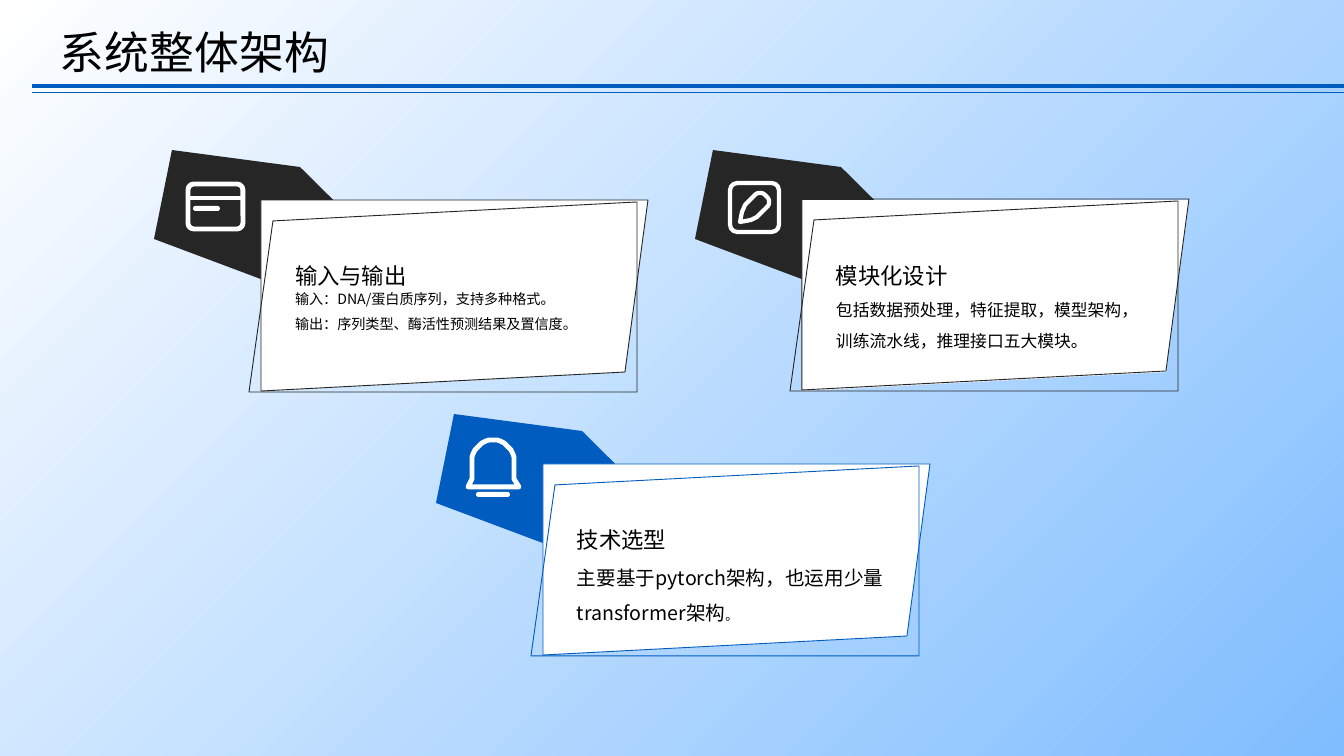
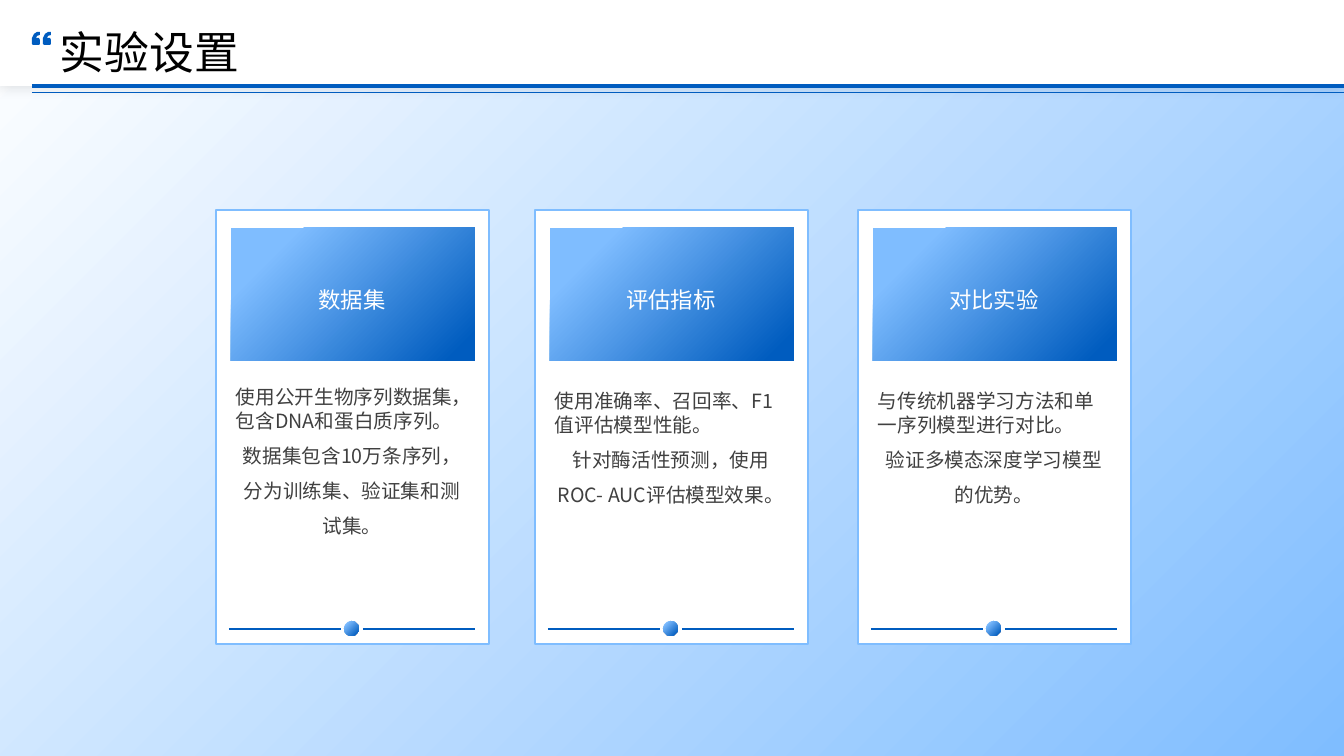
from dataclasses import dataclass
from math import cos, radians, sin

from lxml.etree import SubElement
from pptx import Presentation
from pptx.dml.color import RGBColor
from pptx.enum.shapes import MSO_CONNECTOR, MSO_SHAPE
from pptx.enum.text import MSO_ANCHOR, PP_ALIGN
from pptx.oxml import parse_xml
from pptx.oxml.ns import nsdecls, qn
from pptx.util import Pt


@dataclass(frozen=True)
class Theme:
    font: str = "Noto Sans CJK SC"
    white: str = "FFFFFF"
    black: str = "000000"
    dark: str = "262626"
    gray: str = "404040"
    blue: str = "005CBF"
    sky: str = "7FBDFF"
    backdrop: tuple = ((0, "FFFFFF"), (1, "7FBDFF"))
    accent: tuple = ((0.18, "7FBDFF"), (0.93, "005CBF"))
    title: float = 32
    heading: float = 16
    body: float = 14
    medium: float = 12
    small: float = 10.1
    tiny: float = 9
    hairline: float = 0.65


T = Theme()
EMU = 914400 / 100.8
W, H = 1344, 756
LINE = MSO_CONNECTOR.STRAIGHT
RECT = MSO_SHAPE.RECTANGLE
ROUND = MSO_SHAPE.ROUNDED_RECTANGLE
OVAL = MSO_SHAPE.OVAL
LEFT, CENTER = PP_ALIGN.LEFT, PP_ALIGN.CENTER


def draw(s, kind, geo, fill=None, line=None, width=1, radius=None):
    if kind is LINE:
        sp = s.shapes.add_connector(kind, *[round(v * EMU) for v in geo])
        SubElement(sp._element.spPr, qn("a:effectLst"))
    else:
        if kind is None:
            fb = s.shapes.build_freeform(*geo[0], scale=EMU)
            fb.add_line_segments(geo[1:], close=True)
            sp = fb.convert_to_shape()
        else:
            sp = s.shapes.add_shape(kind, *[round(v * EMU) for v in geo])
        sp.shadow.inherit = False
        if radius is not None:
            sp.adjustments[0] = radius
        if fill is None:
            sp.fill.background()
        elif isinstance(fill, str):
            sp.fill.solid()
            sp.fill.fore_color.rgb = RGBColor.from_string(fill)
        else:
            sp.fill.gradient()
            sp.fill.gradient_angle = 315
            for stop, (pos, color) in zip(sp.fill.gradient_stops, fill):
                stop.position = pos
                stop.color.rgb = RGBColor.from_string(color)
    if line:
        sp.line.color.rgb = RGBColor.from_string(line)
        sp.line.width = Pt(width)
    else:
        sp.line.fill.background()
    return sp


def write(s, box, paras, color, anchor=MSO_ANCHOR.TOP, inset=(0, 0)):
    tf = s.shapes.add_textbox(*[round(v * EMU) for v in box]).text_frame
    tf.word_wrap = True
    tf.vertical_anchor = anchor
    tf.margin_left = tf.margin_right = round(inset[0] * EMU)
    tf.margin_top = tf.margin_bottom = round(inset[1] * EMU)
    for i, (align, spacing, runs) in enumerate(paras):
        p = tf.add_paragraph() if i else tf.paragraphs[0]
        p.alignment = align
        p.line_spacing = spacing
        for text, size in runs:
            r = p.add_run()
            r.text = text
            r.font.size = Pt(size)
            r.font.color.rgb = RGBColor.from_string(color)
            r.font.name = T.font
            SubElement(r._r.get_or_add_rPr(), qn("a:ea"), typeface=T.font)


prs = Presentation()
prs.slide_width, prs.slide_height = round(W * EMU), round(H * EMU)

slides = []
for title, banded in (("系统整体架构", False), ("实验设置", True)):
    s = prs.slides.add_slide(prs.slide_layouts[6])
    slides.append(s)
    draw(s, RECT, (0, 0, W, H), T.backdrop)
    if banded:
        band = draw(s, RECT, (0, 0, W, 86), T.white)
        spPr = band._element.spPr
        spPr.remove(spPr.find(qn("a:effectLst")))
        spPr.append(parse_xml(
            f'<a:effectLst {nsdecls("a")}><a:outerShdw blurRad="127000" dist="0" dir="0">'
            f'<a:srgbClr val="{T.black}"><a:alpha val="13000"/></a:srgbClr>'
            '</a:outerShdw></a:effectLst>'))
        quote = ((5, 0), (8, 0), (8, 3), (5, 4), (4, 6), (7, 6), (8, 8), (8, 12),
                 (7, 13), (1, 13), (0, 12), (0, 6), (2, 2))
        for left in (32, 43):
            draw(s, None, [(left + x, 32 + y) for x, y in quote], T.blue)
    write(s, (60, 25, 1227, 47), [(LEFT, 1.1, [(title, T.title)])], T.black,
          MSO_ANCHOR.MIDDLE)
    for y, width in ((86, 3), (93, 0.75)):
        draw(s, LINE, (32, y, W, y), line=T.blue, width=width)

s = slides[0]
flag = ((0, 89), (352, 221), (146, 17), (18, 0))
panel = ((471, 222), (107, 241), (107, 50), (494, 50))
frame = ((119, 71), (483, 52), (483, 242), (95, 242))
modules = (
    (154, 150, 0, T.dark, "输入与输出",
     [(LEFT, 1.0, [("输入：DNA/蛋白质序列，支持多种格式。", T.small)]),
      (LEFT, 1.5, [("输出：序列类型、酶活性预测结果及置信度。", T.small)])]),
    (695, 150, 1, T.dark, "模块化设计",
     [(LEFT, 1.5, [("包括数据预处理，特征提取，模型架构，训练流水线，推理接口五大模块。", T.medium)])]),
    (436, 414, 0, T.blue, "技术选型",
     [(LEFT, 1.5, [("主要基于pytorch架构，也运用少量transformer架构", T.body), ("。", T.tiny)])]),
)
for left, top, lift, color, heading, body in modules:
    for pts, dy, fill, line in ((flag, 0, color, None), (panel, 0, T.white, None),
                                (panel, lift, None, color), (frame, lift, None, color)):
        draw(s, None, [(left + x, top + y - dy) for x, y in pts], fill, line, T.hairline)
    write(s, (left + 141, top + 77, 308, 62), [(LEFT, 1.3, [(heading, T.heading)])],
          T.black, MSO_ANCHOR.BOTTOM)
    write(s, (left + 141, top + 140, 308, 77), body, T.black)

draw(s, ROUND, (188, 184, 55, 45), line=T.white, width=3.5, radius=0.13)
draw(s, LINE, (188, 198, 243, 198), line=T.white, width=3.5)
draw(s, ROUND, (730, 183, 49, 49), line=T.white, width=3, radius=0.15)
for pill in ((193, 206, 27, 5), (476, 492, 34, 5)):
    draw(s, ROUND, pill, T.white, radius=0.5)

arcs = (
    (760, 202, 9, 225, 3, ((757, 217), (751, 220), (740, 222), (742, 212), (745, 205))),
    (493, 461, 21, 180, 3.5, ((514, 479), (519, 487), (468, 487), (472, 479))),
)
for cx, cy, radius, start, width, tail in arcs:
    angles = [radians(a) for a in range(start, start + 181, 10)]
    arc = [(cx + radius * cos(a), cy + radius * sin(a)) for a in angles]
    draw(s, None, [*arc, *tail], line=T.white, width=width)

s = slides[1]
settings = (
    (216, 380, 205, "数据集", "使用公开生物序列数据集，包含DNA和蛋白质序列。",
     "数据集包含10万条序列，分为训练集、验证集和测试集。"),
    (535, 384, 165, "评估指标", "使用准确率、召回率、F1值评估模型性能。",
     "针对酶活性预测，使用ROC- AUC评估模型效果。"),
    (858, 384, 165, "对比实验", "与传统机器学习方法和单一序列模型进行对比。",
     "验证多模态深度学习模型的优势。"),
)
for left, top, height, heading, first, second in settings:
    draw(s, RECT, (left, 210, 273, 434), T.white, T.sky)
    draw(s, RECT, (left + 15, 228, 244, 133), T.accent)
    write(s, (left + 34, 255, 204, 81), [(CENTER, 1.3, [(heading, T.heading)])],
          T.white, MSO_ANCHOR.MIDDLE)
    write(s, (left + 10, top, 252, height),
          [(LEFT, 1.0, [(first, T.body)]), (CENTER, 1.5, [(second, T.body)])],
          T.gray, inset=(10, 5))
    for x in (13, 147):
        draw(s, LINE, (left + x, 629, left + x + 112, 629), line=T.blue)
    draw(s, OVAL, (left + 128, 621, 15, 15), T.accent)

prs.save("out.pptx")
